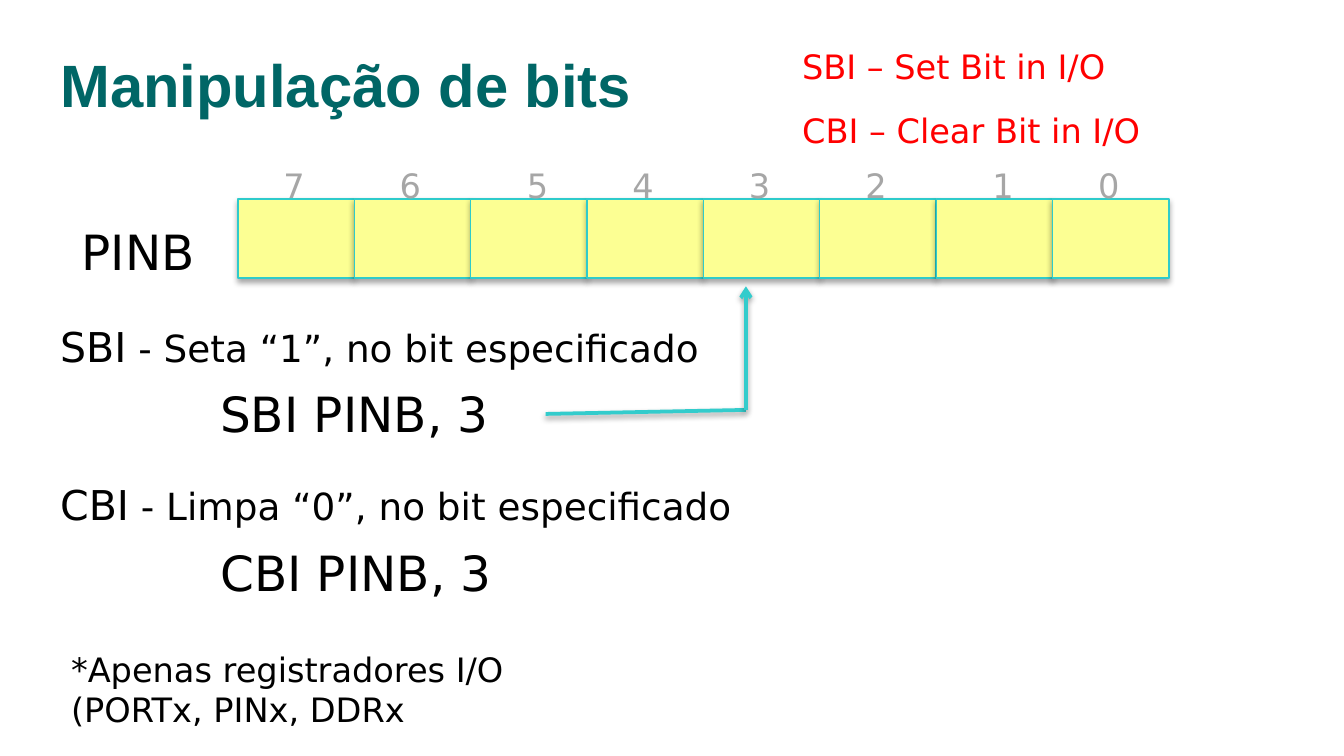
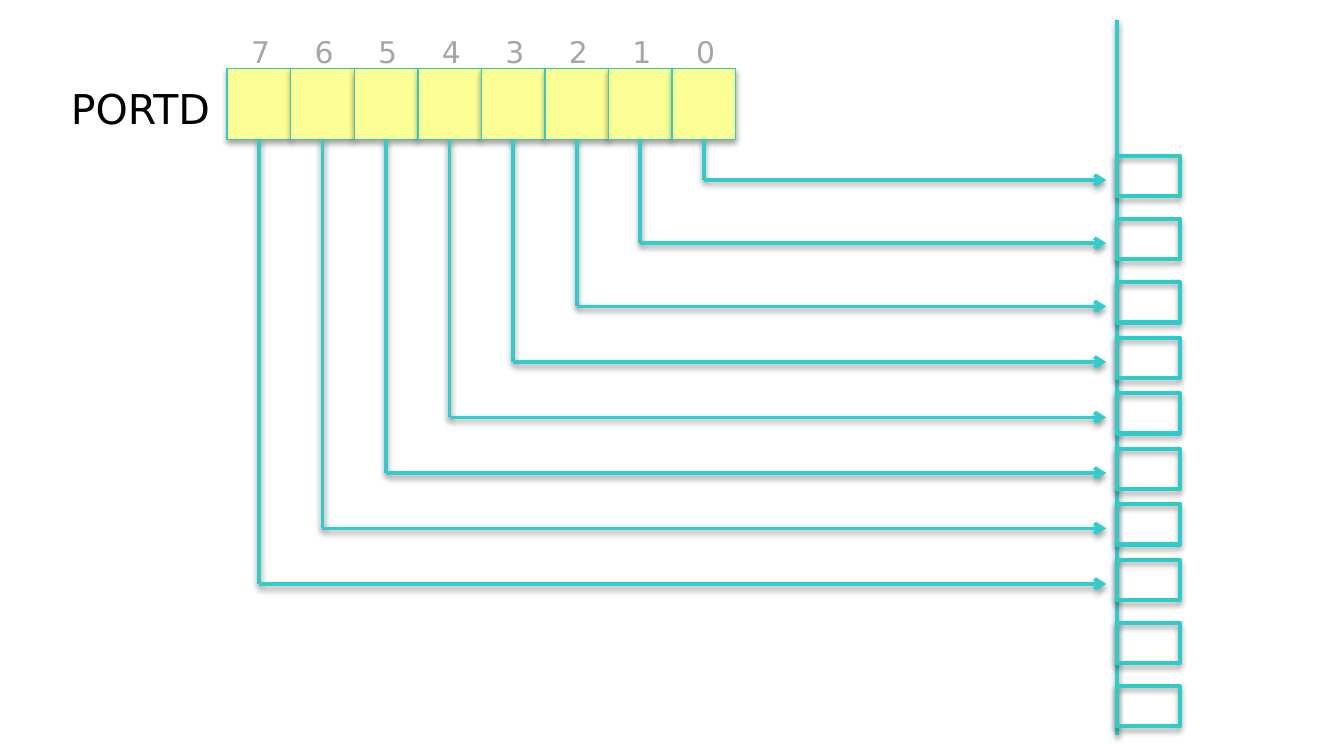
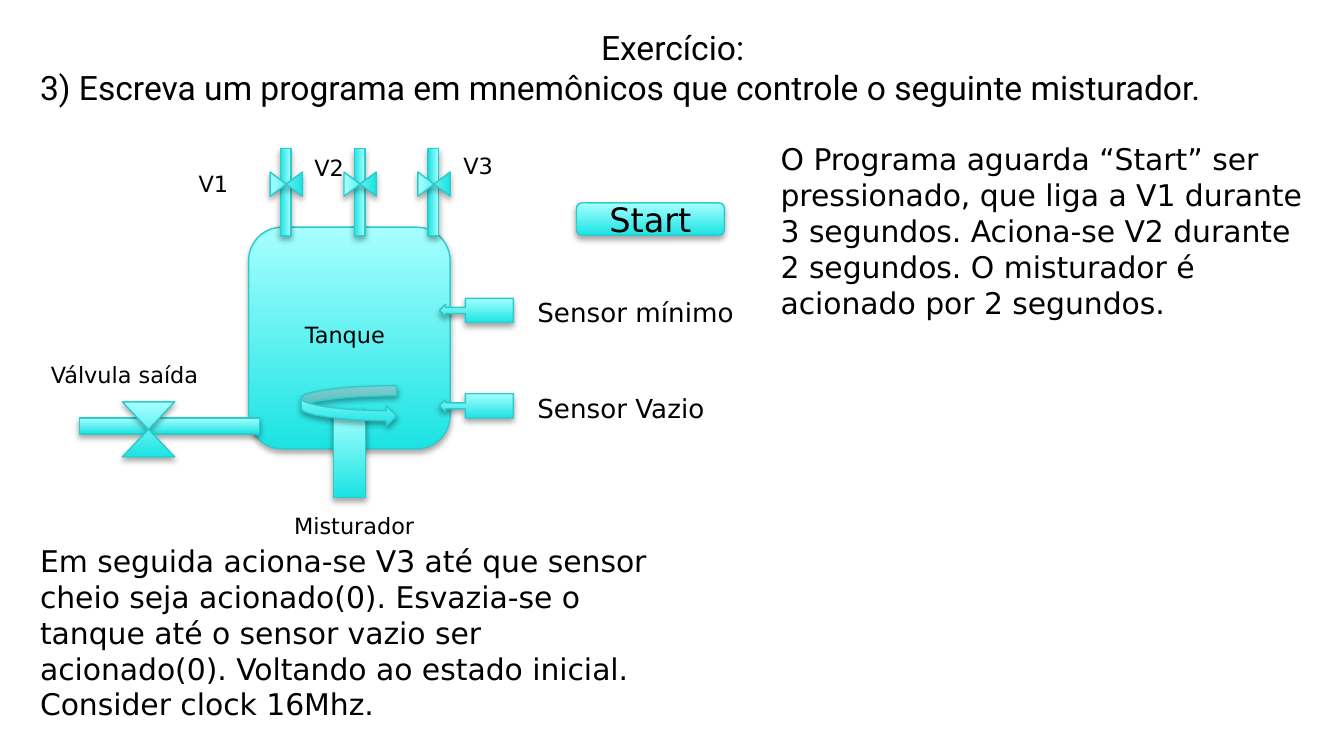
import dataclasses
import itertools

import lxml.etree
import pptx
import pptx.dml.color
import pptx.enum.shapes
import pptx.enum.text
import pptx.oxml.ns
import pptx.util

SHAPE = pptx.enum.shapes.MSO_SHAPE
ALIGN = pptx.enum.text.PP_ALIGN
ANCHOR = pptx.enum.text.MSO_ANCHOR
FIT = pptx.enum.text.MSO_AUTO_SIZE
qn = pptx.oxml.ns.qn


@dataclasses.dataclass(frozen=True)
class Theme:
    # Fonts
    body_font: str = "DejaVu Sans"
    title_font: str = "Arial"
    heading_font: str = "Roboto"
    # Colours
    ink: str = "000000"
    title: str = "006666"
    alert: str = "FF0000"
    muted: str = "A6A6A6"
    cell: str = "FCFF93"
    outline: str = "2ECBCB"
    wire: str = "33CCCC"
    deep: str = "1CE3E3"
    light: str = "A7FFFF"
    # Type sizes
    title_size: int = 32
    code: int = 26
    term: int = 22
    sentence: int = 20
    note: int = 18
    story: int = 16
    sensor: int = 14
    label: int = 12


def rgb(code):
    return pptx.dml.color.RGBColor.from_string(code)


class Builder:
    """Holds the style and the current page; lengths are grid columns and rows."""

    COLUMNS, ROWS = 100, 56.25

    def __init__(self, theme):
        self.theme = theme
        self.deck = pptx.Presentation()
        self.deck.slide_width = pptx.util.Inches(10)
        self.deck.slide_height = pptx.util.Inches(5.625)
        self.page = None

    def new_page(self, layout=6):
        self.page = self.deck.slides.add_slide(self.deck.slide_layouts[layout])

    def place(self, area):
        """Turn column, row, column, row ... into slide lengths."""
        units = itertools.cycle((self.deck.slide_width / self.COLUMNS,
                                 self.deck.slide_height / self.ROWS))
        return [round(length * unit) for length, unit in zip(area, units)]

    def add_words(self, para, words, size, color, font, bold=False):
        span = para.add_run()
        span.text = words
        span.font.size = pptx.util.Pt(size)
        span.font.name = font
        span.font.bold = bold
        span.font.color.rgb = rgb(color)

    def title(self, words, area):
        box = self.page.shapes.title
        box.left, box.top, box.width, box.height = self.place(area)
        frame = box.text_frame
        frame.auto_size = FIT.NONE
        frame.vertical_anchor = ANCHOR.BOTTOM
        para = frame.paragraphs[0]
        para.alignment = ALIGN.LEFT
        self.add_words(para, words, self.theme.title_size, self.theme.title,
                       self.theme.title_font, bold=True)

    def text(self, area, lines, size, color=None, font=None, wrap=False):
        """Lines are plain words, or pairs of alignment and (words, size) spans."""
        box = self.page.shapes.add_textbox(*self.place(area))
        frame = box.text_frame
        frame.word_wrap = wrap
        frame.auto_size = FIT.SHAPE_TO_FIT_TEXT
        if isinstance(lines, str):
            lines = [(ALIGN.LEFT, [(lines, size)])]
        for number, (alignment, spans) in enumerate(lines):
            para = frame.add_paragraph() if number else frame.paragraphs[0]
            para.alignment = alignment
            for words, span_size in spans:
                self.add_words(para, words, span_size, color or self.theme.ink,
                               font or self.theme.body_font)

    def shadow(self, effects, opacity, distance):
        outer = lxml.etree.SubElement(
            effects, qn("a:outerShdw"), blurRad="40000", dist=str(distance),
            dir="5400000", rotWithShape="0")
        color = lxml.etree.SubElement(outer, qn("a:srgbClr"), val=self.theme.ink)
        lxml.etree.SubElement(color, qn("a:alpha"), val=str(opacity * 1000))

    def shape(self, kind, area, fill=None, weight=0.75, turn=0, parent=None):
        box = (parent or self.page).shapes.add_shape(kind, *self.place(area))
        box.rotation = turn
        if fill:
            box.fill.solid()
            box.fill.fore_color.rgb = rgb(fill)
        else:
            box.fill.background()
        box.line.color.rgb = rgb(self.theme.outline)
        box.line.width = pptx.util.Pt(weight)
        box.shadow.inherit = False
        self.shadow(box._element.spPr.find(qn("a:effectLst")), 35, 23000)
        return box

    def device(self, kind, area, turn=0):
        """A piece of equipment, shaded from deep to light upwards."""
        box = self.shape(kind, area, turn=turn)
        box.fill.gradient()
        box.fill.gradient_angle = 90
        for stop, color in zip(box.fill.gradient_stops,
                               (self.theme.deep, self.theme.light)):
            stop.color.rgb = rgb(color)
        return box

    def button(self, words, area):
        frame = self.device(SHAPE.ROUNDED_RECTANGLE, area).text_frame
        frame.vertical_anchor = ANCHOR.MIDDLE
        para = frame.paragraphs[0]
        para.alignment = ALIGN.CENTER
        self.add_words(para, words, self.theme.note, self.theme.ink,
                       self.theme.body_font)

    def wire(self, start, end, arrow=False, source=None):
        line = self.page.shapes.add_connector(
            pptx.enum.shapes.MSO_CONNECTOR.STRAIGHT, *self.place(start + end))
        if source is not None:
            line.begin_connect(source, 2)
        line.line.width = pptx.util.Pt(2)
        line.line.color.rgb = rgb(self.theme.wire)
        properties = line._element.spPr
        if arrow:
            lxml.etree.SubElement(properties.find(qn("a:ln")), qn("a:tailEnd"),
                                  type="arrow")
        self.shadow(lxml.etree.SubElement(properties, qn("a:effectLst")), 38, 20000)

    def register(self, left, top, pitch, height, digit, size, nudges=None):
        """Eight bit cells, numbered 7 to 0; returns the cells by bit."""
        cells = {}
        shift, digit_top, digit_width, digit_height = digit
        for column, bit in enumerate(range(7, -1, -1)):
            x = left + column * pitch
            cells[bit] = self.shape(SHAPE.RECTANGLE, (x, top, pitch, height),
                                    self.theme.cell)
            nudge = (nudges or {}).get(bit, 0)
            self.text((x + shift + nudge, digit_top, digit_width, digit_height),
                      str(bit), size, self.theme.muted)
        return cells


def bit_page(builder):
    theme = builder.theme
    builder.new_page(layout=5)
    builder.title("Manipulação de bits", (3.5, 0, 80, 9.4))

    # Register
    builder.register(17.7, 14.8, 8.66, 5.9, (2.4, 11.8, 3.6, 4), theme.note,
                     nudges={5: 0.8, 1: 0.8})
    builder.text((5.1, 16, 11, 5.4), "PINB", theme.code)

    # Instructions
    for top, name, effect in ((23.4, "SBI", " - Seta “1”, no bit especificado"),
                              (35.2, "CBI", " - Limpa “0”, no bit especificado")):
        spans = [(name, theme.term), (effect, theme.sentence)]
        builder.text((3.5, top, 65.4, 4.7), [(ALIGN.LEFT, spans)], theme.term,
                     wrap=True)
        builder.text((15.4, top + 4.7, 23.7, 5.4), name + " PINB, 3", theme.code)

    # Arrow to bit 3
    corner = (55.5, 30.5)
    builder.wire((40.6, 30.8), corner)
    builder.wire(corner, (55.5, 21.3), arrow=True)

    # Notes
    builder.text((4.3, 47.8, 44.1, 7.1),
                 "*Apenas registradores I/O (PORTx, PINx, DDRx", theme.note, wrap=True)
    builder.text((58.7, 2.9, 26.4, 4), "SBI – Set Bit in I/O", theme.note, theme.alert)
    builder.text((58.7, 7.7, 28.7, 4), "CBI – Clear Bit in I/O", theme.note, theme.alert)


def port_page(builder):
    theme = builder.theme
    builder.new_page()

    # Register
    left, top, pitch, height = 16.9, 5.1, 4.73, 5.3
    cells = builder.register(left, top, pitch, height, (0.8, 2, 3.4, 3.7), theme.story)
    builder.text((4.3, 5.7, 12.6, 4.7), "PORTD", theme.term)

    # Chip edge and one wire from each bit to its pin
    edge = 83.1
    builder.wire((edge, 1.5), (edge, 54.7))
    steps = [4.7] * 2 + [4.13] * 5 + [4.7] * 2
    pin_tops = list(itertools.accumulate(steps, initial=11.6))
    for bit, pin_top in zip(range(8), pin_tops):
        x = left + (7.5 - bit) * pitch
        corner = (x, pin_top + 1.8)
        builder.wire((x, top + height), corner, source=cells[bit])
        builder.wire(corner, (edge - 0.8, pin_top + 1.8), arrow=True)

    # Pins
    pins = builder.page.shapes.add_group_shape()
    for pin_top in pin_tops:
        builder.shape(SHAPE.RECTANGLE, (edge, pin_top, 4.7, 3), weight=2.25,
                      parent=pins)


def mixer_page(builder):
    theme = builder.theme
    builder.new_page()

    # Tank and inlet valves
    builder.device(SHAPE.ROUNDED_RECTANGLE, (18.5, 16.9, 15, 16.5))
    labels = (("V1", 13.8, 12.2), ("V2", 22.4, 11), ("V3", 33.5, 10.8))
    for number, (name, label_left, label_top) in enumerate(labels):
        shift = number * 5.5
        builder.device(SHAPE.RECTANGLE, (18 + shift, 13.9, 6.5, 0.8), turn=90)
        builder.text((label_left, label_top, 4.4, 3), name, theme.label)
        builder.device(SHAPE.FLOWCHART_COLLATE, (20.4 + shift, 12.5, 1.8, 2.4), turn=270)

    # Outlet valve
    builder.device(SHAPE.RECTANGLE, (5.9, 31.1, 13.4, 1.2))
    builder.device(SHAPE.FLOWCHART_COLLATE, (9.1, 29.9, 3.9, 4.1))
    builder.text((2.8, 26.4, 13.3, 3), "Válvula saída", theme.label)

    # Level sensors
    for name, top, width in (("Sensor mínimo", 22.2, 16.8), ("Sensor Vazio", 29.3, 14.7)):
        builder.device(SHAPE.LEFT_ARROW_CALLOUT, (32.7, top, 5.5, 1.8))
        builder.text((39, top - 0.6, width, 3.4), name, theme.sensor)

    # Mixer
    builder.device(SHAPE.RECTANGLE, (24.8, 30.5, 2.4, 6.5))
    builder.device(SHAPE.CURVED_RIGHT_ARROW, (22.4, 28.7, 7.1, 3))
    builder.text((20.9, 37.6, 11, 3), "Misturador", theme.label)
    builder.text((21.7, 23.4, 8.1, 3), "Tanque", theme.label)
    builder.button("Start", (42.9, 15.1, 11, 2.4))

    # Exercise
    question = "3) Escreva um programa em mnemônicos que controle o seguinte misturador."
    builder.text((2, 1.5, 96.1, 7.1),
                 [(ALIGN.CENTER, [("Exercício:", theme.note)]),
                  (ALIGN.LEFT, [(question, theme.note)])],
                 theme.note, font=theme.heading_font, wrap=True)
    builder.text((57.1, 10, 40.9, 14.5),
                 "O Programa aguarda “Start” ser pressionado, que liga a V1 durante "
                 "3 segundos. Aciona-se V2 durante 2 segundos. O misturador é "
                 "acionado por 2 segundos.", theme.story, wrap=True)
    builder.text((2, 39.9, 48, 14.5),
                 "Em seguida aciona-se V3 até que sensor cheio seja acionado(0). "
                 "Esvazia-se o tanque até o sensor vazio ser acionado(0). Voltando "
                 "ao estado inicial. Consider clock 16Mhz.", theme.story, wrap=True)


def main():
    builder = Builder(Theme())
    bit_page(builder)
    port_page(builder)
    mixer_page(builder)
    builder.deck.save("out.pptx")


if __name__ == "__main__":
    main()
